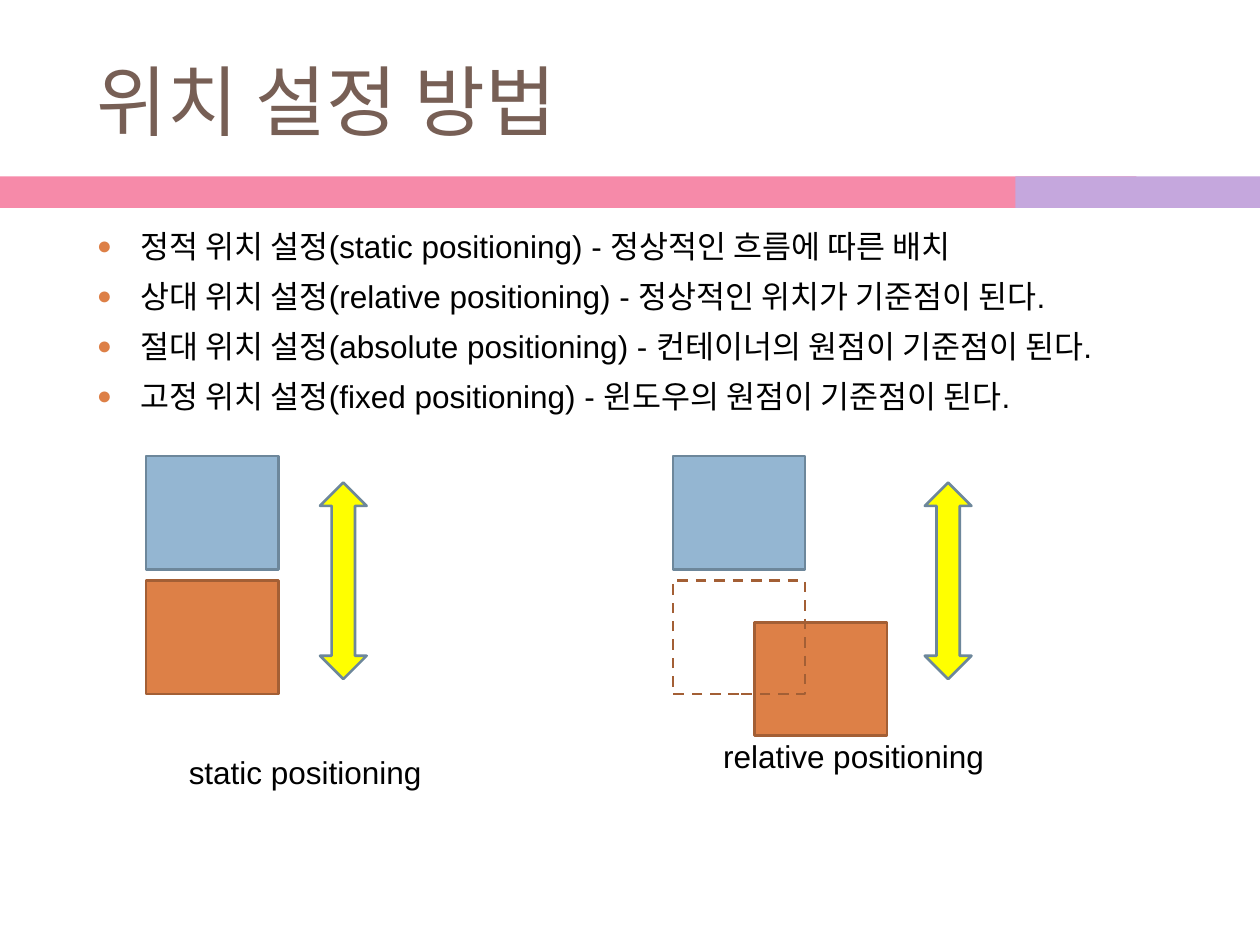
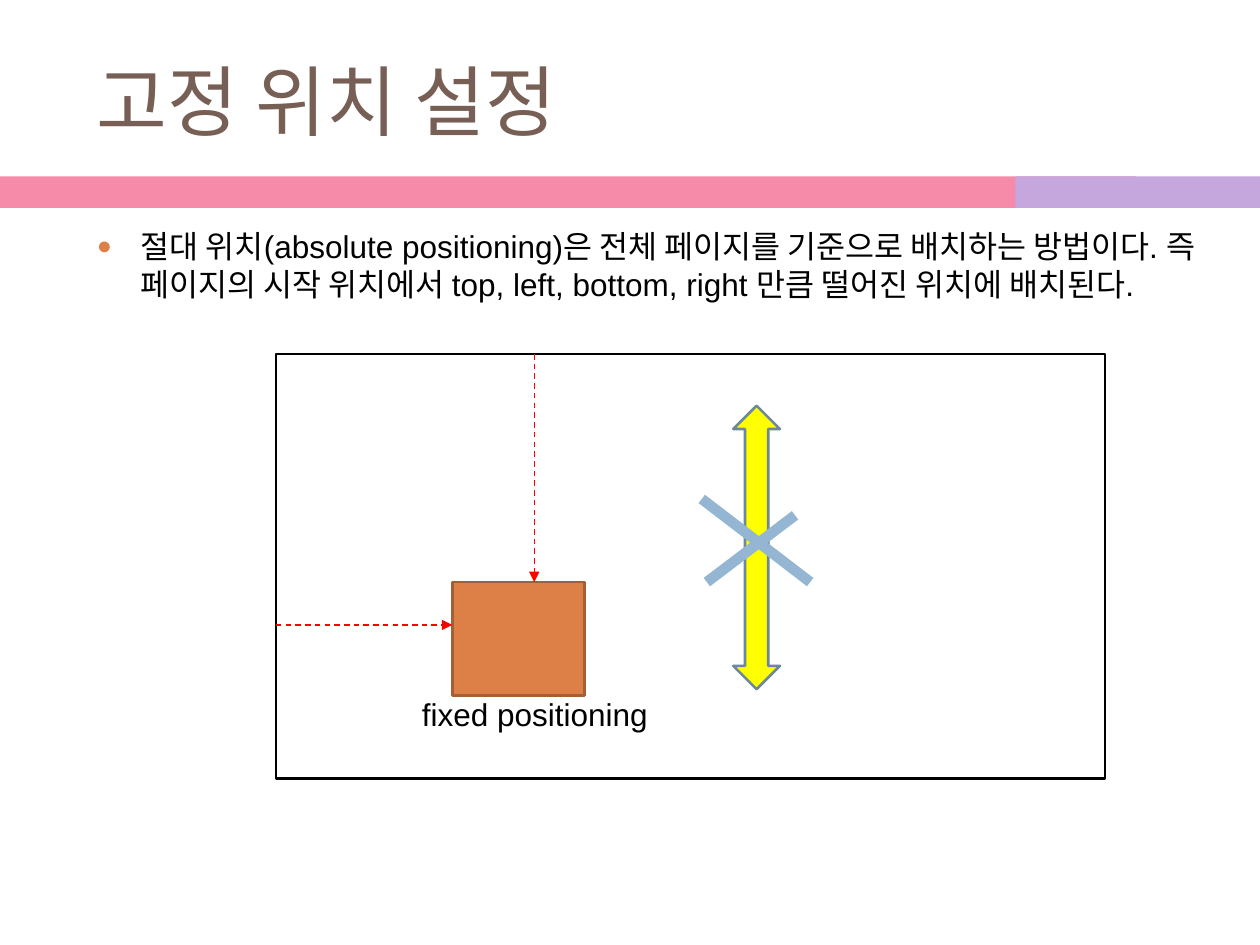
import pptx
import pptx.util
import pptx.dml.color
import pptx.enum.dml
import pptx.enum.shapes
import pptx.enum.text
import pptx.oxml
import pptx.oxml.ns

Pt = pptx.util.Pt
SHAPES = pptx.enum.shapes.MSO_SHAPE
ANCHOR = pptx.enum.text.MSO_ANCHOR

# Content
METHODS = {
    "title": "위치 설정 방법",
    "bullets": [
        "정적 위치 설정(static positioning) - 정상적인 흐름에 따른 배치",
        "상대 위치 설정(relative positioning) - 정상적인 위치가 기준점이 된다.",
        "절대 위치 설정(absolute positioning) - 컨테이너의 원점이 기준점이 된다.",
        "고정 위치 설정(fixed positioning) - 윈도우의 원점이 기준점이 된다.",
    ],
}
FIXED = {
    "title": "고정 위치 설정",
    "bullets": [
        "절대 위치(absolute positioning)은 전체 페이지를 기준으로 배치하는 방법이다. "
        "즉 페이지의 시작 위치에서 top, left, bottom, right 만큼 떨어진 위치에 배치된다.",
    ],
}

# Shared style
COLORS = {
    "pink": "F68AA9", "lilac": "C5A7DD", "title": "775F55", "text": "000000",
    "blue": "94B6D2", "blue_edge": "6D879B", "orange": "DD8047",
    "orange_edge": "A35F35", "yellow": "FFFF00", "red": "FF0000",
}
SLIDE_WIDTH, SLIDE_HEIGHT = 720, 540
BAND_TOP, BAND_HEIGHT = 100.8, 18
MARGIN, TEXT_WIDTH = 48.24, 642.24
BOX_WIDTH, BOX_HEIGHT = 75.6, 64.8
ARROW_WIDTH = 26.64
BULLET_INDENT = 25.2


def color(name):
    return pptx.dml.color.RGBColor.from_string(COLORS[name])


def style_line(line, name, width, dashed=False):
    line.color.rgb = color(name)
    line.width = Pt(width)
    if dashed:
        line.dash_style = pptx.enum.dml.MSO_LINE.DASH


def add_element(parent, tag, **attributes):
    element = parent.makeelement(pptx.oxml.ns.qn(tag), attributes)
    parent.append(element)
    return element


def add_bullet(paragraph):
    properties = paragraph._p.get_or_add_pPr()
    properties.set("marL", str(Pt(BULLET_INDENT)))
    properties.set("indent", str(-Pt(BULLET_INDENT)))
    bullet_color = add_element(properties, "a:buClr")
    add_element(bullet_color, "a:srgbClr", val=COLORS["orange"])
    add_element(properties, "a:buSzPct", val="80000")
    add_element(properties, "a:buFont", typeface="Arial")
    add_element(properties, "a:buChar", char="●")


def add_text(slide, lines, left, top, width, height, size=18, font="Arial",
             fill="text", anchor=ANCHOR.TOP, wrap=True, bullets=False):
    frame = slide.shapes.add_textbox(Pt(left), Pt(top), Pt(width), Pt(height)).text_frame
    frame.word_wrap = wrap
    frame.vertical_anchor = anchor
    if not wrap:
        frame.auto_size = pptx.enum.text.MSO_AUTO_SIZE.SHAPE_TO_FIT_TEXT
    for index, line in enumerate(lines):
        paragraph = frame.add_paragraph() if index else frame.paragraphs[0]
        if bullets:
            add_bullet(paragraph)
        if index:
            paragraph.space_before = Pt(7)
        run = paragraph.add_run()
        run.text = line
        run.font.size = Pt(size)
        run.font.name = font
        run.font.color.rgb = color(fill)


def add_label(slide, text, left, top, width):
    add_text(slide, [text], left, top, width, 28.8, wrap=False)


def add_shape(slide, kind, left, top, width, height, fill=None, edge=None, dashed=False):
    shape = slide.shapes.add_shape(kind, Pt(left), Pt(top), Pt(width), Pt(height))
    shape.shadow.inherit = False
    if fill:
        shape.fill.solid()
        shape.fill.fore_color.rgb = color(fill)
    else:
        shape.fill.background()
    if edge:
        style_line(shape.line, edge, 1.5, dashed)
    else:
        shape.line.fill.background()
    return shape


def add_box(slide, left, top, hue, filled=True):
    add_shape(slide, SHAPES.RECTANGLE, left, top, BOX_WIDTH, BOX_HEIGHT,
              hue if filled else None, hue + "_edge", dashed=not filled)


def add_scroll_arrow(slide, left, top, height):
    arrow = add_shape(slide, SHAPES.UP_DOWN_ARROW, left, top, ARROW_WIDTH, height,
                      "yellow", "blue_edge")
    arrow.adjustments[0] = 0.53
    arrow.adjustments[1] = 0.5


def add_line(slide, start, end, name, width, arrow=False):
    connector = slide.shapes.add_connector(
        pptx.enum.shapes.MSO_CONNECTOR.STRAIGHT, *map(Pt, start + end))
    style_line(connector.line, name, width, dashed=arrow)
    if arrow:
        add_element(connector.line._get_or_add_ln(), "a:tailEnd", type="triangle")
    add_element(connector._element.spPr, "a:effectLst")


def add_page(presentation, content):
    slide = presentation.slides.add_slide(presentation.slide_layouts[6])
    for left, width, fill in ((0, 649.44, "pink"), (580.32, 139.68, "lilac")):
        add_shape(slide, SHAPES.RECTANGLE, left, BAND_TOP, width, BAND_HEIGHT, fill)
    add_text(slide, [content["title"]], MARGIN, 18, TEXT_WIDTH, 77.76, size=44,
             font="Calibri", fill="title", anchor=ANCHOR.MIDDLE)
    add_text(slide, content["bullets"], MARGIN, 126, TEXT_WIDTH, 354.24, bullets=True)
    return slide


def build_methods(presentation):
    slide = add_page(presentation, METHODS)
    static_left, relative_left = 83.52, 384.48
    first_top, second_top = 260.64, 331.92
    arrow_top, arrow_height = 275.76, 112.32

    # Static: boxes stacked in normal flow
    add_box(slide, static_left, first_top, "blue")
    add_box(slide, static_left, second_top, "orange")
    add_scroll_arrow(slide, 182.88, arrow_top, arrow_height)
    add_label(slide, "static positioning", 100.8, 426.96, 149.04)

    # Relative: second box shifted from its dashed normal place
    add_box(slide, relative_left, first_top, "blue")
    add_box(slide, relative_left + 46.8, second_top + 23.76, "orange")
    add_scroll_arrow(slide, 528.48, arrow_top, arrow_height)
    add_box(slide, relative_left, second_top, "orange", filled=False)
    add_label(slide, "relative positioning", 406.08, 417.6, 164.88)


def build_fixed(presentation):
    slide = add_page(presentation, FIXED)
    window_left, window_top = 157.68, 202.32
    box_left, box_top = 258.48, 332.64

    # Fixed box, scroll arrow and window
    add_box(slide, box_left, box_top, "orange")
    add_scroll_arrow(slide, 419.04, 231.84, 162)
    add_label(slide, "fixed positioning", 234, 393.84, 144.72)
    add_shape(slide, SHAPES.RECTANGLE, window_left, window_top, 473.76, 242.64, edge="text")

    # Offsets from the window's top and left edges
    offset_x, offset_y = 305.28, 357.12
    add_line(slide, (offset_x, window_top), (offset_x, box_top), "red", 0.79, arrow=True)
    add_line(slide, (window_left, offset_y), (box_left, offset_y), "red", 0.79, arrow=True)

    # Cross over the scroll arrow
    cross_bottom = 332.64
    add_line(slide, (454.32, 294.48), (403.92, cross_bottom), "blue", 6)
    add_line(slide, (401.04, 285.12), (462.96, cross_bottom), "blue", 6)


def main():
    presentation = pptx.Presentation()
    presentation.slide_width = Pt(SLIDE_WIDTH)
    presentation.slide_height = Pt(SLIDE_HEIGHT)
    build_methods(presentation)
    build_fixed(presentation)
    presentation.save("out.pptx")


if __name__ == "__main__":
    main()
